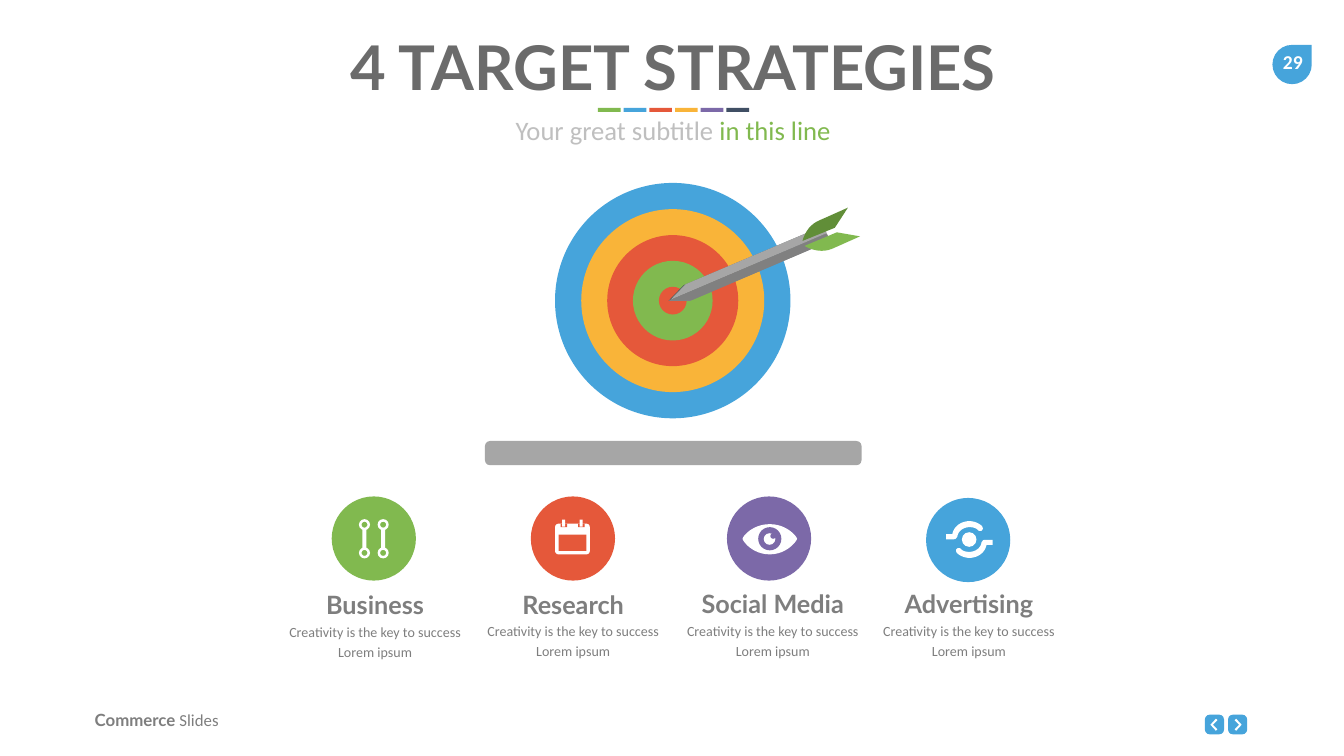
from pptx import Presentation
from pptx.dml.color import RGBColor
from pptx.enum.shapes import MSO_SHAPE
from pptx.enum.text import MSO_ANCHOR, MSO_AUTO_SIZE, PP_ALIGN
from pptx.util import Inches, Pt

THEME = {
    "blue": "46A4DB", "green": "81B94F", "red": "E5583A", "yellow": "F9B439",
    "purple": "7C69A8", "navy": "404F64", "leaf": "618E38", "white": "FFFFFF",
    "heading": "6B6B6B", "text": "7E7E7E", "pale": "BFBFBF",
    "silver": "A6A6A6", "steel": "808080", "slate": "515D5D", "ash": "828286",
    "head_font": "Lato", "body_font": "Calibri",
    "title": 88, "subtitle": 38, "feature": 36, "number": 28, "footer": 24, "body": 20,
}
TITLE = "4 TARGET STRATEGIES"
SUBTITLE = (("Your great subtitle ", "pale"), ("in this line", "green"))
FOOTER = (("Commerce ", "head_font", True), ("Slides", "body_font", False))
PAGE_NUMBER = "29"
CAPTION = "Creativity is the key to success Lorem ipsum"
FEATURES = [
    ("Business", "green", 6.58, 9.85, 7.44, 11.6, 12.21),
    ("Research", "red", 10.53, 9.85, 11.37, 11.59, 12.19),
    ("Social Media", "purple", 14.42, 9.85, 15.33, 11.58, 12.18),
    ("Advertising", "blue", 18.37, 9.88, 19.22, 11.58, 12.19),
]
STRIPES = ["green", "blue", "red", "yellow", "purple", "navy"]
RINGS = [("blue", 4.67), ("yellow", 3.63), ("red", 2.6), ("green", 1.58), ("red", 0.55)]
TARGET_CENTER = (13.345, 5.965)
SHAFT_TOP = [(13.6, 5.64), (16.34, 4.48), (16.4, 4.63), (13.3, 5.95)]
SHAFT_BOTTOM = [(13.73, 5.95), (16.47, 4.78), (16.4, 4.63), (13.3, 5.95)]
FEATHERS = [
    ("leaf", [(15.92, 4.78), (15.92, 4.78, 15.98, 4.48, 16.26, 4.37),
              (16.53, 4.25, 16.82, 4.12, 16.82, 4.12), (16.56, 4.52)]),
    ("green", [(15.96, 4.88), (15.96, 4.88, 16.22, 5.05, 16.5, 4.94),
               (16.77, 4.82, 17.06, 4.69, 17.06, 4.69), (16.6, 4.61)]),
]
EYE = [(0.85, 0.55), (0.5, 0.55, 0.31, 0.8, 0.31, 0.84), (0.31, 0.88, 0.5, 1.15, 0.85, 1.15),
       (1.19, 1.15, 1.39, 0.88, 1.39, 0.84), (1.39, 0.8, 1.19, 0.55, 0.85, 0.55)]
SWOOSH = [(0.62, 0.77), (0.63, 0.66, 0.74, 0.58, 0.86, 0.58), (0.92, 0.58, 0.99, 0.59, 1.03, 0.64),
          (1.05, 0.66, 1.1, 0.66, 1.11, 0.64), (1.13, 0.63, 1.13, 0.59, 1.11, 0.56),
          (1.05, 0.5, 0.95, 0.46, 0.86, 0.46), (0.7, 0.46, 0.55, 0.56, 0.52, 0.72),
          (0.4, 0.72), (0.4, 0.82), (0.55, 0.82), (0.6, 0.82, 0.6, 0.79, 0.62, 0.77)]
CHEVRON = [(0.22, 0.08), (0.25, 0.11), (0.16, 0.2), (0.25, 0.29), (0.22, 0.32), (0.11, 0.2)]

deck = Presentation()
deck.slide_width, deck.slide_height = Inches(26.66), Inches(15)
page = deck.slides.add_slide(deck.slide_layouts[0])


def paint(shape, color):
    shape.shadow.inherit = False
    shape.fill.solid()
    shape.fill.fore_color.rgb = RGBColor.from_string(THEME[color])
    shape.line.fill.background()
    return shape


def preset(kind, x, y, width, height, color, adjust=None):
    shape = page.shapes.add_shape(kind, Inches(x), Inches(y), Inches(width), Inches(height))
    if adjust is not None:
        shape.adjustments[0] = adjust
    return paint(shape, color)


def oval(x, y, size, color):
    return preset(MSO_SHAPE.OVAL, x, y, size, size, color)


def bezier(start, curve, steps=12):
    ends = [start, curve[:2], curve[2:4], curve[4:]]
    for step in range(1, steps + 1):
        t = step / steps
        weights = ((1 - t) ** 3, 3 * t * (1 - t) ** 2, 3 * t * t * (1 - t), t ** 3)
        yield tuple(sum(w * end[axis] for w, end in zip(weights, ends)) for axis in (0, 1))


def outline(segments, color, x=0, y=0):
    points = [segments[0]]
    for segment in segments[1:]:
        points.extend(bezier(points[-1], segment) if len(segment) == 6 else [segment])
    points = [(Inches(x + px), Inches(y + py)) for px, py in points]
    builder = page.shapes.build_freeform(*points[0])
    builder.add_line_segments(points[1:], close=True)
    return paint(builder.convert_to_shape(), color)


def turn(segments, center_x, center_y):
    return [tuple(2 * (center_y if i % 2 else center_x) - value for i, value in enumerate(segment))
            for segment in segments]


def write(box, spans, size, place=None, inset=(0.1, 0.05), align=PP_ALIGN.CENTER, wrap=True, spacing=1):
    if place:
        box.left, box.top, box.width, box.height = map(Inches, place)
    frame = box.text_frame
    side, edge = map(Inches, inset)
    settings = {"margin_left": side, "margin_right": side, "margin_top": edge, "margin_bottom": edge,
                "word_wrap": wrap, "auto_size": MSO_AUTO_SIZE.NONE, "vertical_anchor": MSO_ANCHOR.TOP}
    for name, value in settings.items():
        setattr(frame, name, value)
    para = frame.paragraphs[0]
    for name, value in {"alignment": align, "line_spacing": spacing, "space_before": Pt(0)}.items():
        setattr(para, name, value)
    for text, font, color, bold in spans:
        span = para.add_run()
        span.text = text
        for name, value in {"name": THEME[font], "size": Pt(THEME[size]), "bold": bold}.items():
            setattr(span.font, name, value)
        span.font.color.rgb = RGBColor.from_string(THEME[color])


def label(place, spans, size, **options):
    write(page.shapes.add_textbox(*map(Inches, place)), spans, size, **options)


def business_icon(x, y):
    for left in (0.54, 0.91):
        preset(MSO_SHAPE.RECTANGLE, x + left + 0.07, y + 0.65, 0.08, 0.38, "white")
        for top in (0.45, 1.01):
            preset(MSO_SHAPE.DONUT, x + left, y + top, 0.22, 0.22, "white", 0.23)


def research_icon(x, y):
    preset(MSO_SHAPE.ROUNDED_RECTANGLE, x + 0.48, y + 0.54, 0.69, 0.61, "white", 0.11)
    preset(MSO_SHAPE.RECTANGLE, x + 0.55, y + 0.76, 0.55, 0.32, "red")
    for left in (0.59, 0.94):
        preset(MSO_SHAPE.RECTANGLE, x + left, y + 0.54, 0.13, 0.07, "red")
        preset(MSO_SHAPE.RECTANGLE, x + left + 0.03, y + 0.46, 0.06, 0.14, "white")


def social_icon(x, y):
    outline(EYE, "white", x, y)
    for left, top, size, color in ((0.62, 0.61, 0.46, "purple"), (0.73, 0.73, 0.23, "white"),
                                   (0.86, 0.73, 0.11, "purple")):
        oval(x + left, y + top, size, color)


def advertising_icon(x, y):
    oval(x + 0.71, y + 0.68, 0.29, "white")
    for segments in (SWOOSH, turn(SWOOSH, 0.86, 0.825)):
        outline(segments, "white", x, y)


for x, segments in ((23.9, CHEVRON), (24.36, turn(CHEVRON, 0.19, 0.2))):
    preset(MSO_SHAPE.ROUNDED_RECTANGLE, x, 14.18, 0.38, 0.39, "blue", 0.25)
    outline(segments, "white", x, 14.18)

preset(MSO_SHAPE.TEAR, 25.24, 0.89, 0.78, 0.78, "blue")
label((25.21, 0.9, 0.87, 0.67), [(PAGE_NUMBER, "body_font", "white", True)], "number",
      inset=(0.2, 0.1), wrap=False)
label((1.78, 14.04, 4, 0.5), [(text, font, "text", bold) for text, font, bold in FOOTER], "footer",
      align=PP_ALIGN.LEFT)

ICONS = [business_icon, research_icon, social_icon, advertising_icon]
for (name, color, x, y, center, name_top, caption_top), icon in zip(FEATURES, ICONS):
    oval(x, y, 1.67, color)
    icon(x, y)
    label((center - 1.6, name_top, 3.2, 0.81), [(name, "head_font", "text", True)], "feature",
          inset=(0.2, 0.1), wrap=False)
    label((center - 2.05, caption_top, 4.1, 1), [(CAPTION, "body_font", "text", False)], "body",
          inset=(0.2, 0.1), spacing=1.2)

preset(MSO_SHAPE.ROUNDED_RECTANGLE, 9.62, 8.75, 7.47, 0.48, "silver", 0.21)
for color, size in RINGS:
    oval(TARGET_CENTER[0] - size / 2, TARGET_CENTER[1] - size / 2, size, color)
for shift, top_color, bottom_color in ((0.02, "slate", "ash"), (0, "silver", "steel")):
    outline(SHAFT_TOP, top_color, -2 * shift, shift)
    outline(SHAFT_BOTTOM, bottom_color, -2 * shift, shift)
for color, segments in FEATHERS:
    outline(segments, color)

write(page.shapes.title, [(TITLE, "head_font", "heading", True)], "title", (1.9, 0.53, 22.9, 1.58))
for index, color in enumerate(STRIPES):
    preset(MSO_SHAPE.RECTANGLE, 11.86 + 0.51 * index, 2.14, 0.45, 0.08, color)
write(page.placeholders[1], [(text, "body_font", color, False) for text, color in SUBTITLE],
      "subtitle", (1.9, 2.2, 22.9, 0.74))

deck.save("out.pptx")
